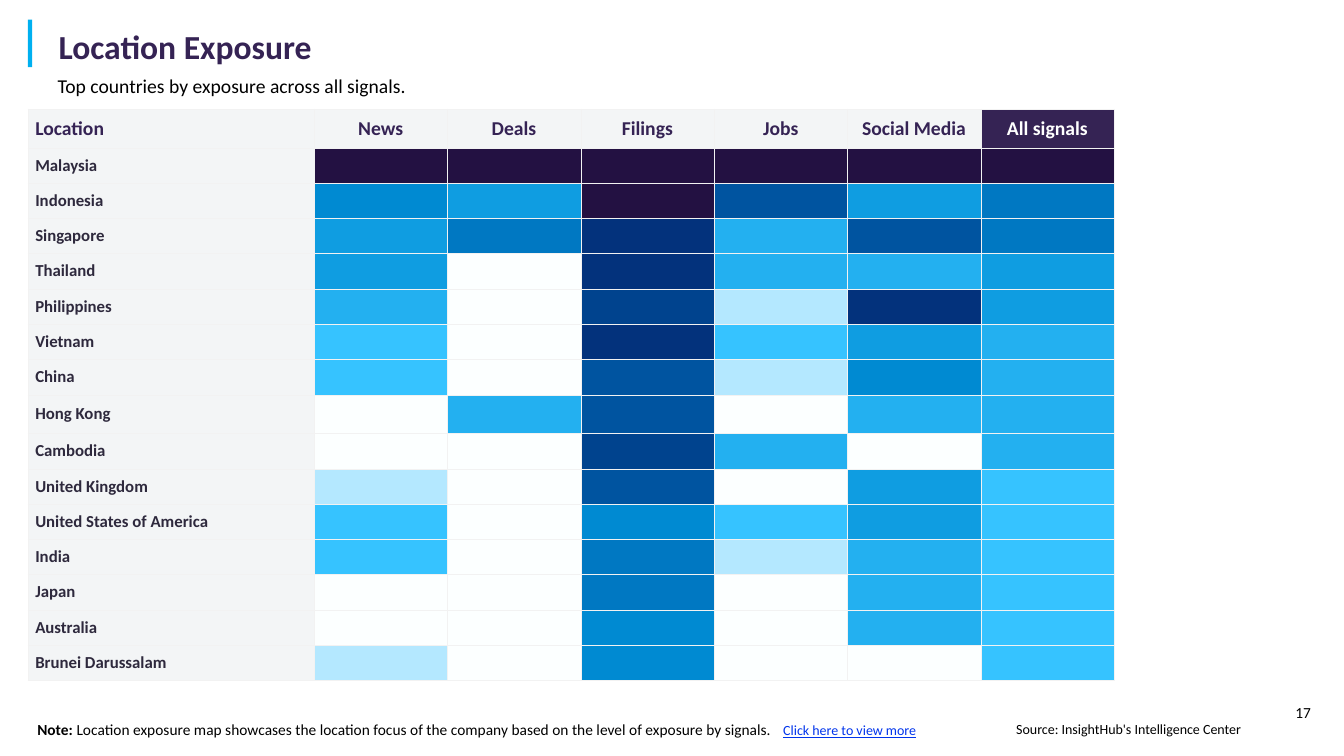
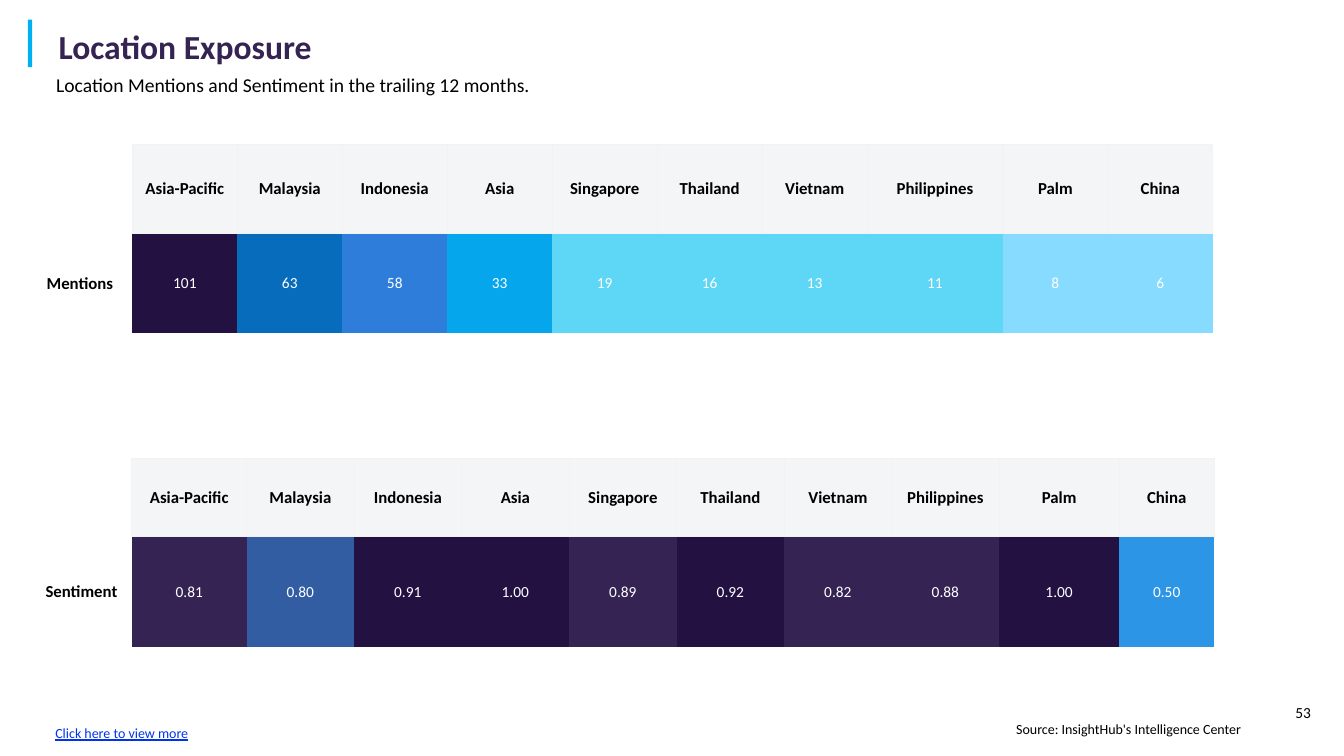
from dataclasses import dataclass
from typing import Optional

from lxml import etree
from pptx import Presentation
from pptx.dml.color import RGBColor
from pptx.enum.shapes import MSO_SHAPE
from pptx.enum.text import MSO_ANCHOR, PP_ALIGN
from pptx.oxml.ns import qn
from pptx.util import Pt

RECTANGLE = MSO_SHAPE.RECTANGLE
TOP, MIDDLE = MSO_ANCHOR.TOP, MSO_ANCHOR.MIDDLE
LEFT, CENTER, RIGHT = PP_ALIGN.LEFT, PP_ALIGN.CENTER, PP_ALIGN.RIGHT

FONT = "Calibri"
BLACK = RGBColor(0x00, 0x00, 0x00)
WHITE = RGBColor(0xFF, 0xFF, 0xFF)
ACCENT = RGBColor(0x00, 0xB0, 0xF0)
PURPLE = RGBColor(0x35, 0x23, 0x54)
NAVY = RGBColor(0x23, 0x11, 0x42)
COUNTRY_TEXT = RGBColor(0x2E, 0x29, 0x3D)
HEADER_FILL = RGBColor(0xF3, 0xF5, 0xF6)
GRID_LINE = RGBColor(0xF2, 0xF2, 0xF2)
LINK_BLUE = RGBColor(0x00, 0x34, 0xEC)
MID_BLUE = RGBColor(0x08, 0x6C, 0xBD)
ROYAL_BLUE = RGBColor(0x2E, 0x7D, 0xDB)
BRIGHT_BLUE = RGBColor(0x06, 0xA6, 0xED)
AQUA = RGBColor(0x5E, 0xD7, 0xF7)
PALE_BLUE = RGBColor(0x86, 0xDB, 0xFF)
STEEL_BLUE = RGBColor(0x32, 0x5D, 0xA3)
SKY_BLUE = RGBColor(0x2C, 0x95, 0xE6)
EXPOSURE_SCALE = (
    RGBColor(0xFC, 0xFF, 0xFF),
    RGBColor(0xB4, 0xE8, 0xFF),
    RGBColor(0x36, 0xC3, 0xFF),
    RGBColor(0x23, 0xB0, 0xF0),
    RGBColor(0x0F, 0x9D, 0xE1),
    RGBColor(0x00, 0x8A, 0xD2),
    RGBColor(0x00, 0x78, 0xC2),
    RGBColor(0x00, 0x54, 0xA0),
    RGBColor(0x00, 0x43, 0x8E),
    RGBColor(0x03, 0x32, 0x7C),
    NAVY,
)

ALL_SIDES = "LRTB"
LINK_TEXT = "Click here to view more"
SIGNALS = ("News", "Deals", "Filings", "Jobs", "Social Media", "All signals")
REGIONS = ("Asia-Pacific", "Malaysia", "Indonesia", "Asia", "Singapore",
           "Thailand", "Vietnam", "Philippines", "Palm", "China")


@dataclass(frozen=True)
class TextStyle:
    size: float
    color: RGBColor = BLACK
    bold: bool = False
    underline: bool = False
    align: PP_ALIGN = LEFT


@dataclass(frozen=True)
class Box:
    left: float
    top: float
    width: float
    height: float


@dataclass(frozen=True)
class Insets:
    left: float = 7.2
    top: float = 3.6
    right: float = 7.2
    bottom: float = 3.6


@dataclass(frozen=True)
class CountryExposure:
    country: str
    levels: tuple[int, ...]


@dataclass(frozen=True)
class RegionStrip:
    label: str
    left: float
    top: float
    columns: tuple[float, ...]
    rows: tuple[float, float]
    values: tuple[str, ...]
    fills: tuple[RGBColor, ...]


TITLE = TextStyle(24, PURPLE, bold=True)
SUBTITLE = TextStyle(14)
PAGE_NUMBER = TextStyle(11, align=CENTER)
SOURCE = TextStyle(10, align=RIGHT)
NOTE = TextStyle(11)
NOTE_LABEL = TextStyle(11, bold=True)
LINK = TextStyle(10, LINK_BLUE, underline=True)
LOCATION_HEADER = TextStyle(14, PURPLE, bold=True)
SIGNAL_HEADER = TextStyle(14, PURPLE, bold=True, align=CENTER)
TOTAL_HEADER = TextStyle(14, WHITE, bold=True, align=CENTER)
COUNTRY = TextStyle(12, COUNTRY_TEXT, bold=True)
REGION = TextStyle(12, bold=True, align=CENTER)
VALUE = TextStyle(11, WHITE, align=CENTER)

NO_INSETS = Insets(0, 0, 0, 0)
COUNTRY_INSETS = Insets(5.4, 2.7, 2.7, 2.7)
SIGNAL_INSETS = Insets(2.7, 2.7, 2.7, 2.7)

EXPOSURES = (
    CountryExposure("Malaysia", (10, 10, 10, 10, 10, 10)),
    CountryExposure("Indonesia", (5, 4, 10, 7, 4, 6)),
    CountryExposure("Singapore", (4, 6, 9, 3, 7, 6)),
    CountryExposure("Thailand", (4, 0, 9, 3, 3, 4)),
    CountryExposure("Philippines", (3, 0, 8, 1, 9, 4)),
    CountryExposure("Vietnam", (2, 0, 9, 2, 4, 3)),
    CountryExposure("China", (2, 0, 7, 1, 5, 3)),
    CountryExposure("Hong Kong", (0, 3, 7, 0, 3, 3)),
    CountryExposure("Cambodia", (0, 0, 8, 3, 0, 3)),
    CountryExposure("United Kingdom", (1, 0, 7, 0, 4, 2)),
    CountryExposure("United States of America", (2, 0, 5, 2, 4, 2)),
    CountryExposure("India", (2, 0, 6, 1, 3, 2)),
    CountryExposure("Japan", (0, 0, 6, 0, 3, 2)),
    CountryExposure("Australia", (0, 0, 5, 0, 3, 2)),
    CountryExposure("Brunei Darussalam", (1, 0, 5, 0, 0, 2)),
)
TALL_ROWS = (0, 8)

STRIPS = (
    RegionStrip(
        "Mentions", 19.6, 103, (75,) * 8 + (97, 75, 75), (64, 71),
        ("101", "63", "58", "33", "19", "16", "13", "11", "8", "6"),
        (NAVY, MID_BLUE, ROYAL_BLUE, BRIGHT_BLUE) + (AQUA,) * 4 + (PALE_BLUE,) * 2,
    ),
    RegionStrip(
        "Sentiment", 22.2, 327.4, (72, 82) + (76.8,) * 7 + (85.7, 68), (56, 79),
        ("0.81", "0.80", "0.91", "1.00", "0.89", "0.92", "0.82", "0.88", "1.00", "0.50"),
        (PURPLE, STEEL_BLUE, NAVY, NAVY, PURPLE, NAVY, PURPLE, PURPLE, NAVY, SKY_BLUE),
    ),
)


def format_run(run, style: TextStyle) -> None:
    run.font.name = FONT
    run.font.size = Pt(style.size)
    run.font.bold = style.bold
    run.font.underline = style.underline
    run.font.color.rgb = style.color


def write_text(frame, text: str, style: TextStyle) -> None:
    frame.text = text
    paragraph = frame.paragraphs[0]
    paragraph.alignment = style.align
    for run in paragraph.runs:
        format_run(run, style)


def set_insets(target, insets: Insets) -> None:
    target.margin_left = Pt(insets.left)
    target.margin_top = Pt(insets.top)
    target.margin_right = Pt(insets.right)
    target.margin_bottom = Pt(insets.bottom)


def add_text(slide, box: Box, text: str, style: TextStyle,
             insets: Insets = Insets(), anchor: MSO_ANCHOR = TOP):
    frame = slide.shapes.add_textbox(
        Pt(box.left), Pt(box.top), Pt(box.width), Pt(box.height)).text_frame
    frame.word_wrap = True
    frame.vertical_anchor = anchor
    set_insets(frame, insets)
    write_text(frame, text, style)
    return frame


def set_borders(cell, width: float, sides: str) -> None:
    properties = cell._tc.get_or_add_tcPr()
    for position, side in enumerate(ALL_SIDES):
        line = etree.Element(qn(f"a:ln{side}"), w=str(int(Pt(width))))
        if side in sides:
            fill = etree.SubElement(line, qn("a:solidFill"))
            etree.SubElement(fill, qn("a:srgbClr"), val=str(GRID_LINE))
        else:
            etree.SubElement(line, qn("a:noFill"))
        properties.insert(position, line)


def fill_cell(cell, fill: Optional[RGBColor], width: float, sides: str = ALL_SIDES,
              text: str = "", style: TextStyle = VALUE, insets: Insets = NO_INSETS) -> None:
    if fill is None:
        cell.fill.background()
    else:
        cell.fill.solid()
        cell.fill.fore_color.rgb = fill
    set_borders(cell, width, sides)
    set_insets(cell, insets)
    cell.vertical_anchor = MIDDLE
    if text:
        write_text(cell.text_frame, text, style)


def add_grid(slide, left: float, top: float,
             columns: tuple[float, ...], rows: tuple[float, ...]):
    table = slide.shapes.add_table(
        len(rows), len(columns), Pt(left), Pt(top), Pt(sum(columns)), Pt(sum(rows))).table
    table.first_row = False
    table.horz_banding = False
    for column, width in zip(table.columns, columns):
        column.width = Pt(width)
    for row, height in zip(table.rows, rows):
        row.height = Pt(height)
    return table


def add_base_slide(deck, page: int, subtitle: str, subtitle_box: Box):
    slide = deck.slides.add_slide(deck.slide_layouts[6])
    add_text(slide, Box(902, 499, 57.6, 20.9), str(page), PAGE_NUMBER)
    accent_bar = slide.shapes.add_shape(RECTANGLE, Pt(20), Pt(14), Pt(3), Pt(34))
    accent_bar.shadow.inherit = False
    accent_bar.fill.solid()
    accent_bar.fill.fore_color.rgb = ACCENT
    accent_bar.line.fill.background()
    add_text(slide, Box(23, 511.2, 884.2, 19.4), "Source: InsightHub's Intelligence Center",
             SOURCE, Insets(right=20.8))
    add_text(slide, Box(19.6, 18, 884.2, 30), "Location Exposure", TITLE,
             Insets(left=22.3), MIDDLE)
    add_text(slide, subtitle_box, subtitle, SUBTITLE)
    return slide


def add_exposure_map(slide) -> None:
    width = 0.25
    rows = tuple(27.7 if row in TALL_ROWS else 25.2 for row in range(len(EXPOSURES) + 1))
    table = add_grid(slide, 19.8, 77.8, (204.5,) + (95.25,) * len(SIGNALS), rows)
    fill_cell(table.cell(0, 0), HEADER_FILL, width, text="Location",
              style=LOCATION_HEADER, insets=COUNTRY_INSETS)
    for column, signal in enumerate(SIGNALS, 1):
        is_total = column == len(SIGNALS)
        fill_cell(table.cell(0, column), PURPLE if is_total else HEADER_FILL, width,
                  text=signal, style=TOTAL_HEADER if is_total else SIGNAL_HEADER,
                  insets=SIGNAL_INSETS)
    for row, exposure in enumerate(EXPOSURES, 1):
        fill_cell(table.cell(row, 0), HEADER_FILL, width, text=exposure.country,
                  style=COUNTRY, insets=COUNTRY_INSETS)
        for column, level in enumerate(exposure.levels, 1):
            fill_cell(table.cell(row, column), EXPOSURE_SCALE[level], width)


def add_region_strip(slide, strip: RegionStrip) -> None:
    table = add_grid(slide, strip.left, strip.top, strip.columns, strip.rows)
    fill_cell(table.cell(0, 0), None, 1, "R")
    fill_cell(table.cell(1, 0), None, 1, "", strip.label, REGION)
    for column, (region, value, fill) in enumerate(zip(REGIONS, strip.values, strip.fills), 1):
        fill_cell(table.cell(0, column), HEADER_FILL, 1, text=region, style=REGION)
        fill_cell(table.cell(1, column), fill, 1, "T", value)


def main() -> None:
    deck = Presentation()
    deck.slide_width, deck.slide_height = Pt(960), Pt(540)

    exposure_slide = add_base_slide(
        deck, 17, "Top countries by exposure across all signals.", Box(34, 49.2, 884.2, 24.5))
    add_exposure_map(exposure_slide)
    note = add_text(exposure_slide, Box(19.6, 510.5, 717.8, 20.9), "Note: ", NOTE_LABEL)
    explanation = note.paragraphs[0].add_run()
    explanation.text = ("Location exposure map showcases the location focus of the company "
                        "based on the level of exposure by signals.")
    format_run(explanation, NOTE)
    add_text(exposure_slide, Box(552.4, 512, 204.5, 21.6), LINK_TEXT, LINK)

    sentiment_slide = add_base_slide(
        deck, 53, "Location Mentions and Sentiment in the trailing 12 months.",
        Box(33, 48.5, 882.7, 18.7))
    for strip in STRIPS:
        add_region_strip(sentiment_slide, strip)
    add_text(sentiment_slide, Box(32.4, 514, 884.2, 18), LINK_TEXT, LINK)

    deck.save("out.pptx")


if __name__ == "__main__":
    main()
